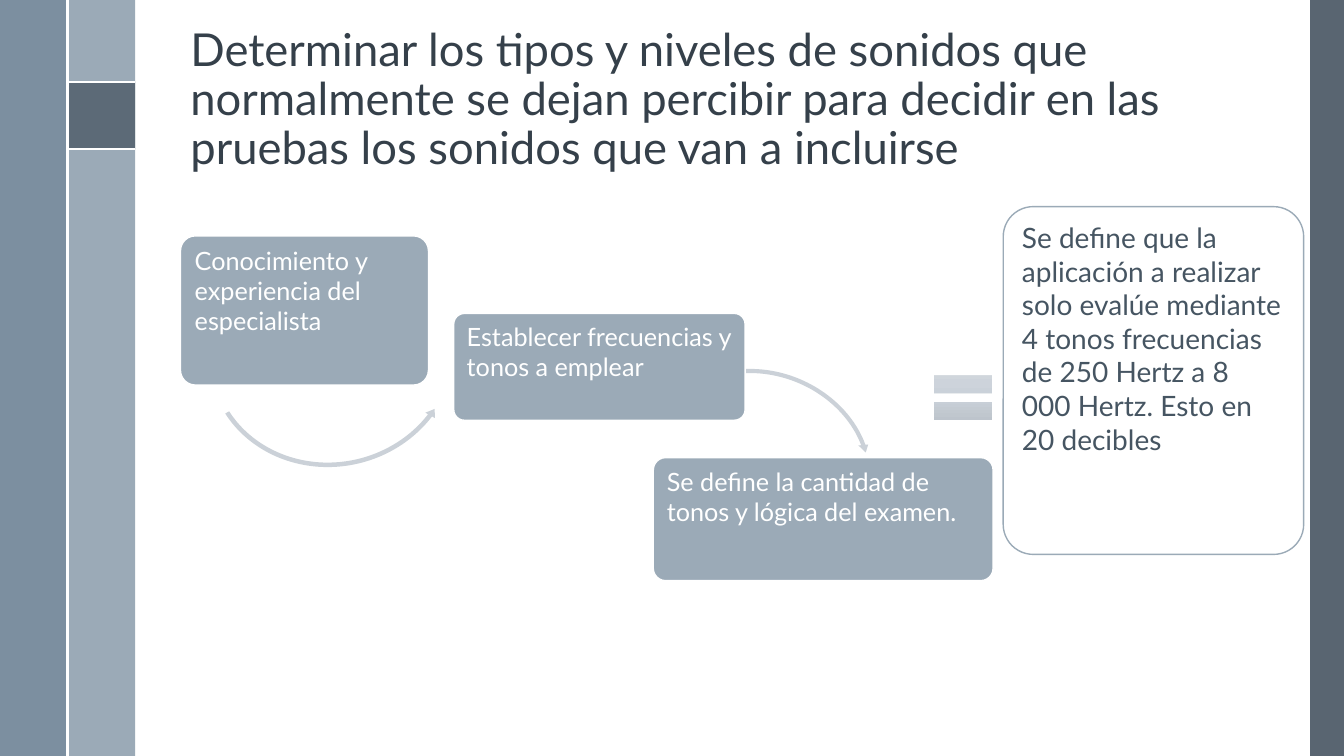
from copy import deepcopy
from lxml.etree import SubElement
from pptx import Presentation
from pptx.dml.color import RGBColor
from pptx.enum.shapes import MSO_CONNECTOR, MSO_SHAPE
from pptx.enum.text import MSO_ANCHOR, PP_ALIGN
from pptx.oxml.ns import qn
from pptx.util import Inches, Pt

# Content
TITLE = ("Determinar los tipos y niveles de sonidos que normalmente se dejan percibir "
         "para decidir en las pruebas los sonidos que van a incluirse")
STEPS = [
    ("Conocimiento y experiencia del especialista", (1.79, 2.34, 2.46, 1.48)),
    ("Establecer frecuencias y tonos a emplear", (4.5, 3.11, 2.89, 1.06)),
    ("Se define la cantidad de tonos y lógica del examen.", (6.48, 4.54, 3.37, 1.22)),
]
RESULT = ("Se define que la aplicación a realizar solo evalúe mediante 4 tonos "
          "frecuencias de 250 Hertz a 8 000 Hertz. Esto en 20 decibles")

# Arrow geometry: preset, place, rotation, adjustments
ARROWS = [
    (MSO_SHAPE.LEFT_CIRCULAR_ARROW, (2.03, 2.32, 2.53, 2.34), 346.4,
     (0.019, 2.316, 27.964, 98.138, 0.023)),
    (MSO_SHAPE.CIRCULAR_ARROW, (6.46, 3.66, 2.23, 1.87), 22,
     (0.022, 2.644, 196.606, 133.856, 0.026)),
]

# Look
WIDTH, HEIGHT, BAND = 13.33, 7.5, 0.67
MARK_TOP = 0.81
FONT = "Lato"
WHITE, STEEL, SLATE, PALE = "FFFFFF", "9BAAB7", "475562", "CBD1D8"
BANDS = [
    ((WIDTH - BAND / 2, 0, BAND / 2, HEIGHT), SLATE, 90),
    ((BAND, 0, BAND, HEIGHT), STEEL, 100),
    ((0, 0, BAND, HEIGHT), "6A8093", 88),
    ((BAND, MARK_TOP, BAND, BAND), SLATE, 75),
]
RULES = [
    (BAND, MARK_TOP, 2 * BAND, MARK_TOP),
    (BAND, MARK_TOP + BAND, 2 * BAND, MARK_TOP + BAND),
    (BAND, 0, BAND, HEIGHT),
]
EQUAL_STOPS = [(0, "D3D8DE"), (0.5, "CAD1D9"), (1, "B3BAC1")]

deck = Presentation()
deck.slide_width, deck.slide_height = Inches(WIDTH), Inches(HEIGHT)
page = deck.slides.add_slide(deck.slide_layouts[6])


def color(value):
    return RGBColor.from_string(value)


def add_shape(kind, place, fill, line=None, opacity=100):
    shape = page.shapes.add_shape(kind, *map(Inches, place))
    shape.shadow.inherit = False
    shape.fill.solid()
    shape.fill.fore_color.rgb = color(fill)
    if opacity < 100:
        tint = shape._element.spPr.find(qn("a:solidFill"))[0]
        SubElement(tint, qn("a:alpha")).set("val", str(opacity * 1000))
    if line:
        shape.line.color.rgb = color(line)
        shape.line.width = Pt(1)
    else:
        shape.line.fill.background()
    return shape


def write(box, text, size, ink, anchor=MSO_ANCHOR.TOP, spacing=None):
    frame = box.text_frame
    frame.word_wrap = True
    frame.vertical_anchor = anchor
    frame.margin_left = frame.margin_right = Inches(0.1)
    para = frame.paragraphs[0]
    para.alignment = PP_ALIGN.LEFT
    para.line_spacing = spacing
    span = para.add_run()
    span.text = text
    span.font.size, span.font.name = Pt(size), FONT
    span.font.color.rgb = color(ink)


def add_card(text, place, size, fill, line, ink):
    card = add_shape(MSO_SHAPE.ROUNDED_RECTANGLE, place, fill, line)
    card.adjustments[0] = 0.1
    write(card, text, size, ink)


# Side bands and their white rules
for place, fill, opacity in BANDS:
    add_shape(MSO_SHAPE.RECTANGLE, place, fill, opacity=opacity)
for ends in RULES:
    rule = page.shapes.add_connector(MSO_CONNECTOR.STRAIGHT, *map(Inches, ends))
    rule.line.color.rgb = color(WHITE)
    rule.line.width = Pt(1.5)
    SubElement(rule._element.spPr, qn("a:effectLst"))

# Title
title = page.shapes.add_textbox(*map(Inches, (1.79, 0.42, 10.7, 1.36)))
write(title, TITLE, 32.4, "35404A", MSO_ANCHOR.BOTTOM, 0.9)

# Curved arrows between the steps
for kind, place, turn, bends in ARROWS:
    arrow = add_shape(kind, place, PALE)
    arrow.rotation = turn
    for index, bend in enumerate(bends):
        arrow.adjustments[index] = bend

# Steps and result
for text, place in STEPS:
    add_card(text, place, 18, STEEL, WHITE, WHITE)
add_card(RESULT, (9.95, 2.05, 2.98, 3.45), 20, WHITE, STEEL, "465562")

# Equal sign with a three-stop vertical gradient
equal = add_shape(MSO_SHAPE.MATH_EQUAL, (9.16, 3.57, 0.79, 0.75), PALE)
equal.fill.gradient()
equal.fill.gradient_angle = 270
stop_list = equal._element.spPr.find(qn("a:gradFill")).find(qn("a:gsLst"))
stop_list.insert(1, deepcopy(stop_list[0]))
for stop, (position, tone) in zip(equal.fill.gradient_stops, EQUAL_STOPS):
    stop.position = position
    stop.color.rgb = color(tone)

deck.save("out.pptx")
